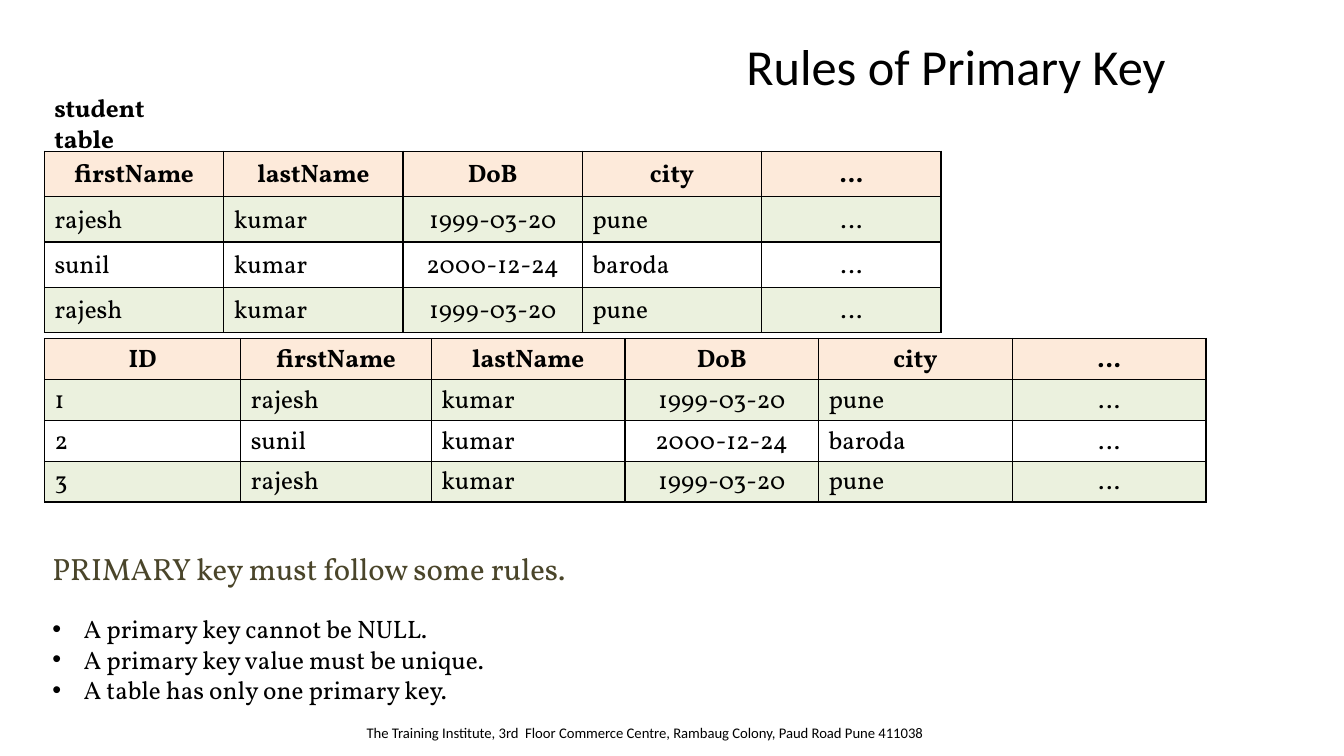
from lxml import etree
from pptx import Presentation
from pptx.dml.color import RGBColor
from pptx.enum.text import MSO_ANCHOR, MSO_AUTO_SIZE, PP_ALIGN
from pptx.oxml.ns import qn
from pptx.util import Cm, Pt

LEFT, CENTER, RIGHT = PP_ALIGN.LEFT, PP_ALIGN.CENTER, PP_ALIGN.RIGHT
TOP, MIDDLE = MSO_ANCHOR.TOP, MSO_ANCHOR.MIDDLE
GROW = MSO_AUTO_SIZE.SHAPE_TO_FIT_TEXT
BORDER_SIDES = ("a:lnL", "a:lnR", "a:lnT", "a:lnB")
CENTERED_COLUMNS = ("DoB", "…")


def color(value):
    return RGBColor.from_string(value)


class SlideBuilder:
    serif = "Vollkorn"
    sans = "Calibri"
    ink = "000000"
    olive = "4A452A"
    paper = "FFFFFF"
    header_fill = "FDEADA"
    band_fill = "EBF1DE"

    def __init__(self, presentation):
        self.slide = presentation.slides.add_slide(presentation.slide_layouts[5])

    def format_runs(self, paragraph, size, font=serif, ink=ink, bold=False):
        for run in paragraph.runs:
            run.font.size = Pt(size)
            run.font.name = font
            run.font.bold = bold
            run.font.color.rgb = color(ink)

    def title(self, text, left, top, width, height):
        shape = self.slide.shapes.title
        shape.left, shape.top = Cm(left), Cm(top)
        shape.width, shape.height = Cm(width), Cm(height)
        shape.fill.solid()
        shape.fill.fore_color.rgb = color(self.paper)
        frame = shape.text_frame
        frame.text = text
        frame.auto_size = GROW
        frame.vertical_anchor = TOP
        paragraph = frame.paragraphs[0]
        paragraph.alignment = RIGHT
        paragraph.line_spacing = 1.5
        self.format_runs(paragraph, 36, self.sans)

    def text(self, text, left, top, width, height, size, **style):
        shape = self.slide.shapes.add_textbox(Cm(left), Cm(top), Cm(width), Cm(height))
        frame = shape.text_frame
        frame.word_wrap = True
        frame.text = text
        self.format_runs(frame.paragraphs[0], size, **style)
        return frame

    def bullets(self, frame, items, size, gap):
        for index, item in enumerate(items):
            paragraph = frame.add_paragraph()
            paragraph.text = item
            properties = paragraph._p.get_or_add_pPr()
            properties.set("marL", str(Cm(0.79)))
            properties.set("indent", str(-Cm(0.79)))
            etree.SubElement(properties, qn("a:buFont"), typeface="Arial")
            etree.SubElement(properties, qn("a:buChar"), char="•")
            if index == 0:
                paragraph.space_before = Pt(gap)
            self.format_runs(paragraph, size)

    def borders(self, cell):
        properties = cell._tc.get_or_add_tcPr()
        for side in BORDER_SIDES:
            line = etree.SubElement(properties, qn(side), w=str(Pt(1)))
            fill = etree.SubElement(line, qn("a:solidFill"))
            etree.SubElement(fill, qn("a:srgbClr"), val=self.ink)

    def table(self, headers, records, left, top, widths, row_height, padding):
        rows = [headers, *records]
        shape = self.slide.shapes.add_table(
            len(rows), len(headers), Cm(left), Cm(top),
            Cm(sum(widths)), Cm(row_height * len(rows)))
        table = shape.table
        table.first_row = table.horz_banding = False
        for column, width in zip(table.columns, widths):
            column.width = Cm(width)
        for row_index, values in enumerate(rows):
            table.rows[row_index].height = Cm(row_height)
            is_header = row_index == 0
            for column_index, value in enumerate(values):
                cell = table.cell(row_index, column_index)
                cell.text = value
                cell.vertical_anchor = MIDDLE
                cell.margin_top = cell.margin_bottom = Cm(padding)
                self.borders(cell)
                if row_index % 2 or is_header:
                    cell.fill.solid()
                    cell.fill.fore_color.rgb = color(
                        self.header_fill if is_header else self.band_fill)
                else:
                    cell.fill.background()
                centered = is_header or headers[column_index] in CENTERED_COLUMNS
                paragraph = cell.text_frame.paragraphs[0]
                paragraph.alignment = CENTER if centered else LEFT
                self.format_runs(paragraph, 18, bold=is_header)


def main():
    presentation = Presentation()
    presentation.slide_width, presentation.slide_height = Cm(33.87), Cm(19.05)
    builder = SlideBuilder(presentation)

    headers = ["firstName", "lastName", "DoB", "city", "…"]
    students = [
        ["rajesh", "kumar", "1999-03-20", "pune", "…"],
        ["sunil", "kumar", "2000-12-24", "baroda", "…"],
        ["rajesh", "kumar", "1999-03-20", "pune", "…"],
    ]
    numbered = [[str(number), *student] for number, student in enumerate(students, 1)]

    builder.title("Rules of Primary Key", 4.23, 0, 25.4, 2.34)
    builder.text(
        "The Training Institute, 3rd  Floor Commerce Centre, Rambaug Colony, Paud Road Pune 411038",
        8.99, 18.11, 15.01, 1.02, 10.5, font=builder.sans)
    builder.table(headers, students, 1.12, 3.81, [4.52] * 5, 1.03, 0.19)
    builder.text("student table", 1.12, 2.21, 4.34, 1.02, 18, bold=True)
    builder.table(["ID", *headers], numbered, 1.12, 8.53,
                  [4.95, 4.8] + [4.88] * 4, 1.03, 0.12)
    rules = builder.text("PRIMARY key must follow some rules.",
                         1.07, 13.74, 25.4, 4.19, 22, ink=builder.olive)
    builder.bullets(rules, [
        "A primary key cannot be NULL.",
        "A primary key value must be unique.",
        "A table has only one primary key.",
    ], 18, 19)

    presentation.save("out.pptx")


if __name__ == "__main__":
    main()
